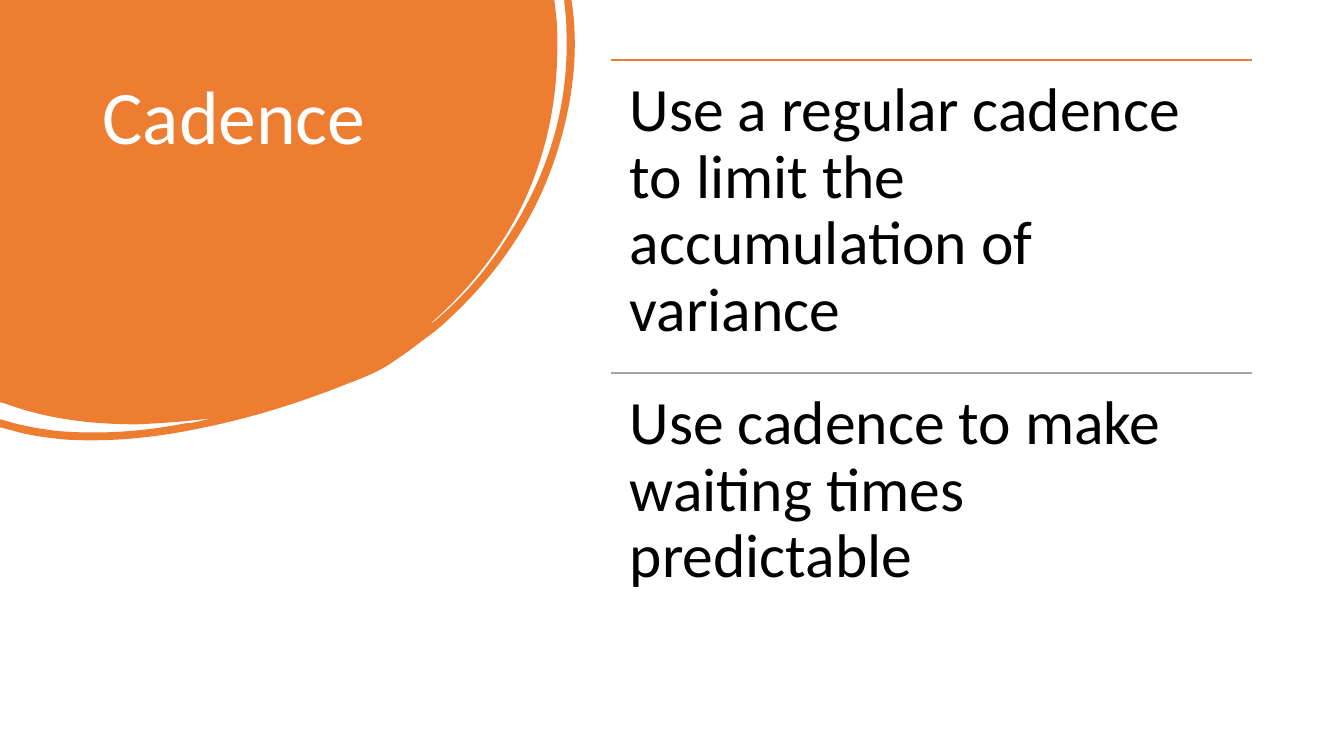
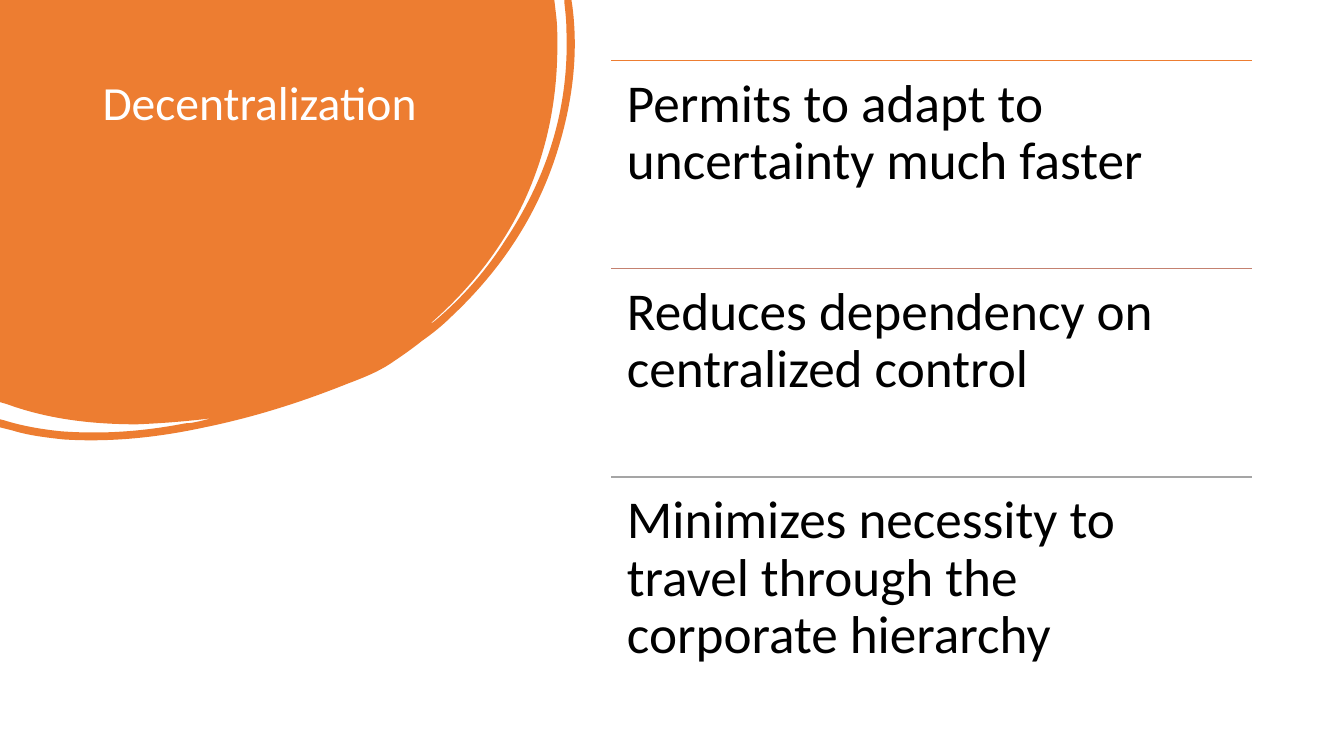
from dataclasses import dataclass

from lxml.etree import SubElement
from pptx import Presentation
from pptx.dml.color import RGBColor
from pptx.enum.shapes import MSO_CONNECTOR
from pptx.enum.text import MSO_ANCHOR, MSO_AUTO_SIZE, PP_ALIGN
from pptx.oxml.ns import qn
from pptx.slide import Slide
from pptx.text.text import TextFrame
from pptx.util import Cm, Pt

# Shared look
FONT = "Calibri"
ORANGE, ROSE, GREY = "ED7D31", "C48170", "A5A5A5"
WHITE, BLACK = "FFFFFF", "000000"
LIST_LEFT, LIST_WIDTH = Cm(15.4), Cm(16.15)

# Corner blob outline, in hundredths of an inch: two numbers end a straight
# line, six numbers are the controls and end of a curve
BLOB_UNIT = Cm(0.0254)
BLOB_OUTLINE = [
    (0, 0), (550, 0), (552, 17),
    (553, 26, 553, 36, 553, 45),
    (553, 101, 542, 154, 518, 204),
    (496, 249, 465, 288, 427, 321),
    (429, 321, 430, 319, 432, 318),
    (459, 295, 482, 269, 501, 239),
    (543, 176, 565, 107, 562, 30),
    (562, 21, 561, 12, 560, 3),
    (560, 0), (567, 0), (568, 7),
    (574, 54, 568, 102, 553, 150),
    (533, 214, 497, 268, 448, 314),
    (439, 323, 429, 331, 419, 338),
    (409, 346, 399, 353, 387, 361),
    (375, 369, 360, 375, 344, 381),
    (299, 399, 252, 414, 203, 424),
    (157, 434, 110, 439, 63, 436),
    (45, 434, 28, 432, 12, 427),
    (0, 424), (0, 416), (4, 417),
    (23, 423, 42, 426, 61, 428),
    (103, 431, 143, 428, 184, 420),
    (189, 420, 193, 419, 198, 418),
    (202, 417, 206, 416, 210, 415),
    (186, 418, 161, 420, 136, 421),
    (92, 421, 48, 416, 7, 401),
    (0, 399),
]


@dataclass
class Point:
    text: str
    rule_color: str


@dataclass
class Topic:
    title: str
    title_size: int
    body_size: int
    inset: float
    top: float
    row_height: float
    points: list[Point]


TOPICS = [
    Topic("Cadence", 54, 44, 0.47, 1.51, 7.89, [
        Point("Use a regular cadence to limit the accumulation of variance", ORANGE),
        Point("Use cadence to make waiting times predictable", GREY),
    ]),
    Topic("Decentralization", 34, 38, 0.4, 1.52, 5.25, [
        Point("Permits to adapt to uncertainty much faster", ORANGE),
        Point("Reduces dependency on centralized control", ROSE),
        Point("Minimizes necessity to travel through the corporate hierarchy", GREY),
    ]),
]


def rgb(color: str) -> RGBColor:
    return RGBColor.from_string(color)


def write_text(frame: TextFrame, text: str, size: int, color: str) -> None:
    frame.text = text
    frame.word_wrap = True
    frame.auto_size = MSO_AUTO_SIZE.NONE
    frame.vertical_anchor = MSO_ANCHOR.TOP
    para = frame.paragraphs[0]
    para.alignment = PP_ALIGN.LEFT
    para.line_spacing = 0.9
    para.space_before = Pt(0)
    for span in para.runs:
        span.font.name = FONT
        span.font.size = Pt(size)
        span.font.color.rgb = rgb(color)


def add_blob(page: Slide) -> None:
    start, *ends = [segment[-2:] for segment in BLOB_OUTLINE]
    builder = page.shapes.build_freeform(*start, scale=BLOB_UNIT)
    builder.add_line_segments(ends, close=True)
    blob = builder.convert_to_shape()
    # Bend the segments that have control points
    lines = list(blob.element.iter(qn("a:lnTo")))
    for line, segment in zip(lines, BLOB_OUTLINE[1:]):
        if len(segment) == 6:
            line.tag = qn("a:cubicBezTo")
            end = line[0]
            for x, y in (segment[:2], segment[2:4]):
                control = SubElement(line, qn("a:pt"), x=str(x), y=str(y))
                end.addprevious(control)
    blob.shadow.inherit = False
    blob.fill.solid()
    blob.fill.fore_color.rgb = rgb(ORANGE)
    blob.line.fill.background()
    # Keep the blob behind the title
    page.shapes.title.element.addprevious(blob.element)


def add_title(page: Slide, topic: Topic) -> None:
    title = page.shapes.title
    title.left, title.top, title.width, title.height = Cm(2.33), Cm(1.88), Cm(8.94), Cm(5.64)
    write_text(title.text_frame, topic.title, topic.title_size, WHITE)


def add_rule(page: Slide, top: int, color: str) -> None:
    rule = page.shapes.add_connector(
        MSO_CONNECTOR.STRAIGHT, LIST_LEFT, top, LIST_LEFT + LIST_WIDTH, top)
    rule.line.color.rgb = rgb(color)
    rule.line.width = Pt(1)
    SubElement(rule.element.spPr, qn("a:effectLst"))


def add_points(page: Slide, topic: Topic) -> None:
    for index, point in enumerate(topic.points):
        top = Cm(topic.top + index * topic.row_height)
        add_rule(page, top, point.rule_color)
        box = page.shapes.add_textbox(LIST_LEFT, top, LIST_WIDTH, Cm(topic.row_height))
        frame = box.text_frame
        frame.margin_left = frame.margin_right = Cm(topic.inset)
        frame.margin_top = frame.margin_bottom = Cm(topic.inset)
        write_text(frame, point.text, topic.body_size, BLACK)


def main() -> None:
    deck = Presentation()
    deck.slide_width, deck.slide_height = Cm(33.87), Cm(19.05)
    title_only = deck.slide_layouts.get_by_name("Title Only")
    for topic in TOPICS:
        page = deck.slides.add_slide(title_only)
        add_blob(page)
        add_title(page, topic)
        add_points(page, topic)
    deck.save("out.pptx")


if __name__ == "__main__":
    main()
